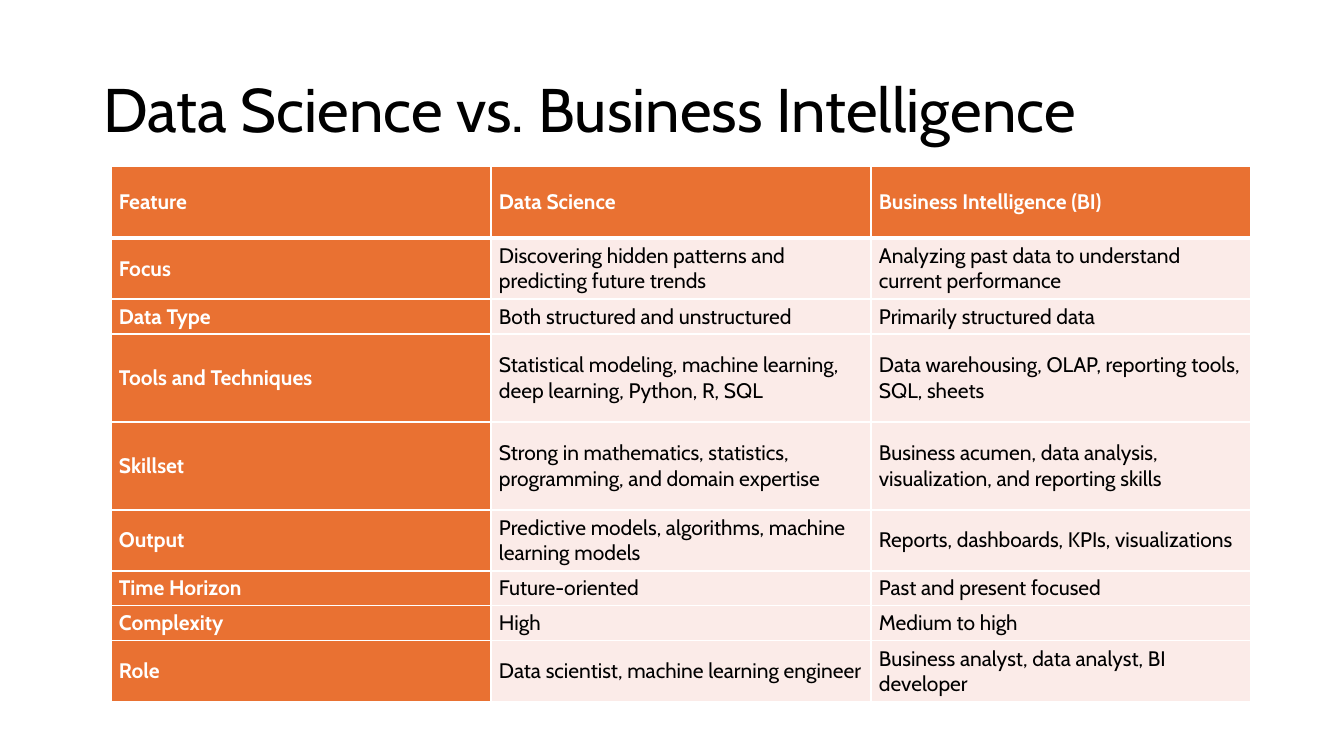
from lxml.etree import SubElement
from pptx import Presentation
from pptx.dml.color import RGBColor as Rgb
from pptx.enum.text import MSO_ANCHOR as Anchor, MSO_AUTO_SIZE as AutoSize, PP_ALIGN as Align
from pptx.oxml.ns import qn
from pptx.util import Emu, Pt

COLORS = {"accent": "E97132", "tint": "FBEBE8", "white": "FFFFFF", "black": "000000"}
FONT = "Cabin"
ROW_HEIGHTS = [72, 61, 35, 88, 88, 61, 35, 35, 61]
COLUMN_WIDTH = 380
COMPARISON = [
    ("Feature", "Data Science", "Business Intelligence (BI)"),
    ("Focus", "Discovering hidden patterns and predicting future trends",
     "Analyzing past data to understand current performance"),
    ("Data Type", "Both structured and unstructured", "Primarily structured data"),
    ("Tools and Techniques",
     "Statistical modeling, machine learning, deep learning, Python, R, SQL",
     "Data warehousing, OLAP, reporting tools, SQL, sheets"),
    ("Skillset", "Strong in mathematics, statistics, programming, and domain expertise",
     "Business acumen, data analysis, visualization, and reporting skills"),
    ("Output", "Predictive models, algorithms, machine learning models",
     "Reports, dashboards, KPIs, visualizations"),
    ("Time Horizon", "Future-oriented", "Past and present focused"),
    ("Complexity", "High", "Medium to high"),
    ("Role", "Data scientist, machine learning engineer",
     "Business analyst, data analyst, BI developer"),
]


def px(length):
    """Turn slide pixels into EMU."""
    return Emu(round(length * 914400 / 100.8))


def add_run(paragraph, wording, size, color, bold=False):
    """Add one formatted run to a paragraph."""
    run = paragraph.add_run()
    run.text = wording
    run.font.name = FONT
    run.font.size = Pt(size)
    run.font.bold = bold
    run.font.color.rgb = Rgb.from_string(COLORS[color])


def set_title(slide, wording):
    """Place and fill the title placeholder."""
    title = slide.shapes.title
    title.left, title.top, title.width, title.height = map(px, (93, 40, 1159, 146))
    frame = title.text_frame
    frame.word_wrap = True
    frame.auto_size = AutoSize.NONE
    frame.vertical_anchor = Anchor.MIDDLE
    heading = frame.paragraphs[0]
    heading.alignment = Align.LEFT
    heading.line_spacing = 0.9
    add_run(heading, wording, 44, "black")


def set_borders(cell, top, bottom):
    """Draw white borders of the given point widths around a cell."""
    properties = cell._tc.get_or_add_tcPr()
    for side, width in (("L", 1), ("R", 1), ("T", top), ("B", bottom)):
        edge = SubElement(properties, qn(f"a:ln{side}"), w=str(Pt(width)))
        paint = SubElement(edge, qn("a:solidFill"))
        SubElement(paint, qn("a:srgbClr"), val=COLORS["white"])


def fill_cell(cell, wording, is_heading, top, bottom):
    """Format one cell and write its wording."""
    set_borders(cell, top, bottom)
    cell.fill.solid()
    cell.fill.fore_color.rgb = Rgb.from_string(COLORS["accent" if is_heading else "tint"])
    cell.vertical_anchor = Anchor.MIDDLE
    cell.margin_left = cell.margin_right = px(8)
    cell.margin_top = cell.margin_bottom = px(4)
    add_run(cell.text_frame.paragraphs[0], wording, 15,
            "white" if is_heading else "black", is_heading)


def add_comparison(slide, rows):
    """Add the comparison table with a heading row and column."""
    column_count = len(rows[0])
    table = slide.shapes.add_table(
        len(rows), column_count, px(111), px(166),
        px(COLUMN_WIDTH * column_count), px(sum(ROW_HEIGHTS))).table
    table.first_col = True
    for column in table.columns:
        column.width = px(COLUMN_WIDTH)
    for r, (features, height) in enumerate(zip(rows, ROW_HEIGHTS)):
        table.rows[r].height = px(height)
        for c, wording in enumerate(features):
            fill_cell(table.cell(r, c), wording, r == 0 or c == 0,
                      3 if r == 1 else 1, 3 if r == 0 else 1)


def main():
    """Build and save the slide."""
    deck = Presentation()
    deck.slide_width, deck.slide_height = px(1344), px(756)
    slide = deck.slides.add_slide(deck.slide_layouts[5])
    set_title(slide, "Data Science vs. Business Intelligence")
    add_comparison(slide, COMPARISON)
    deck.save("out.pptx")


if __name__ == "__main__":
    main()
